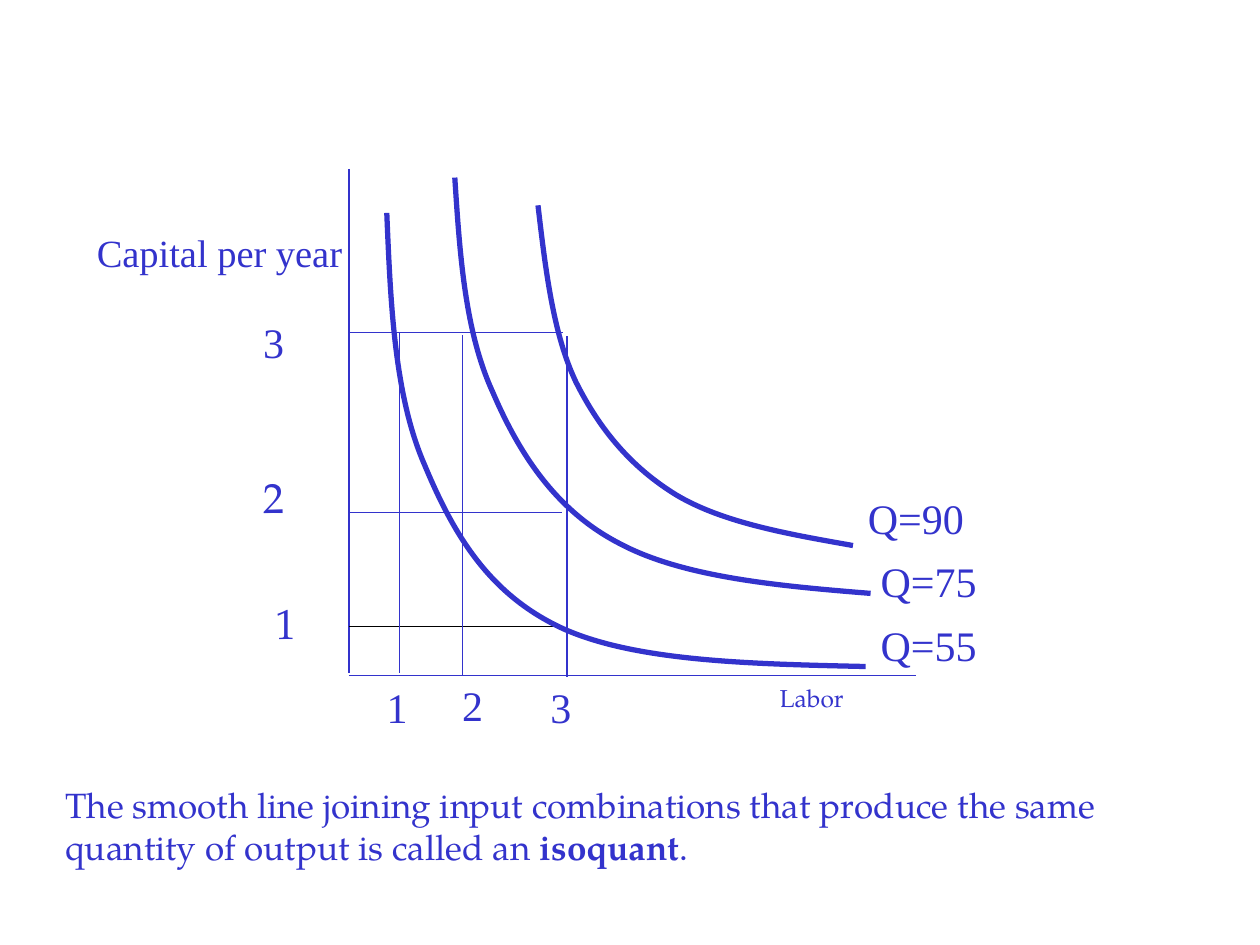
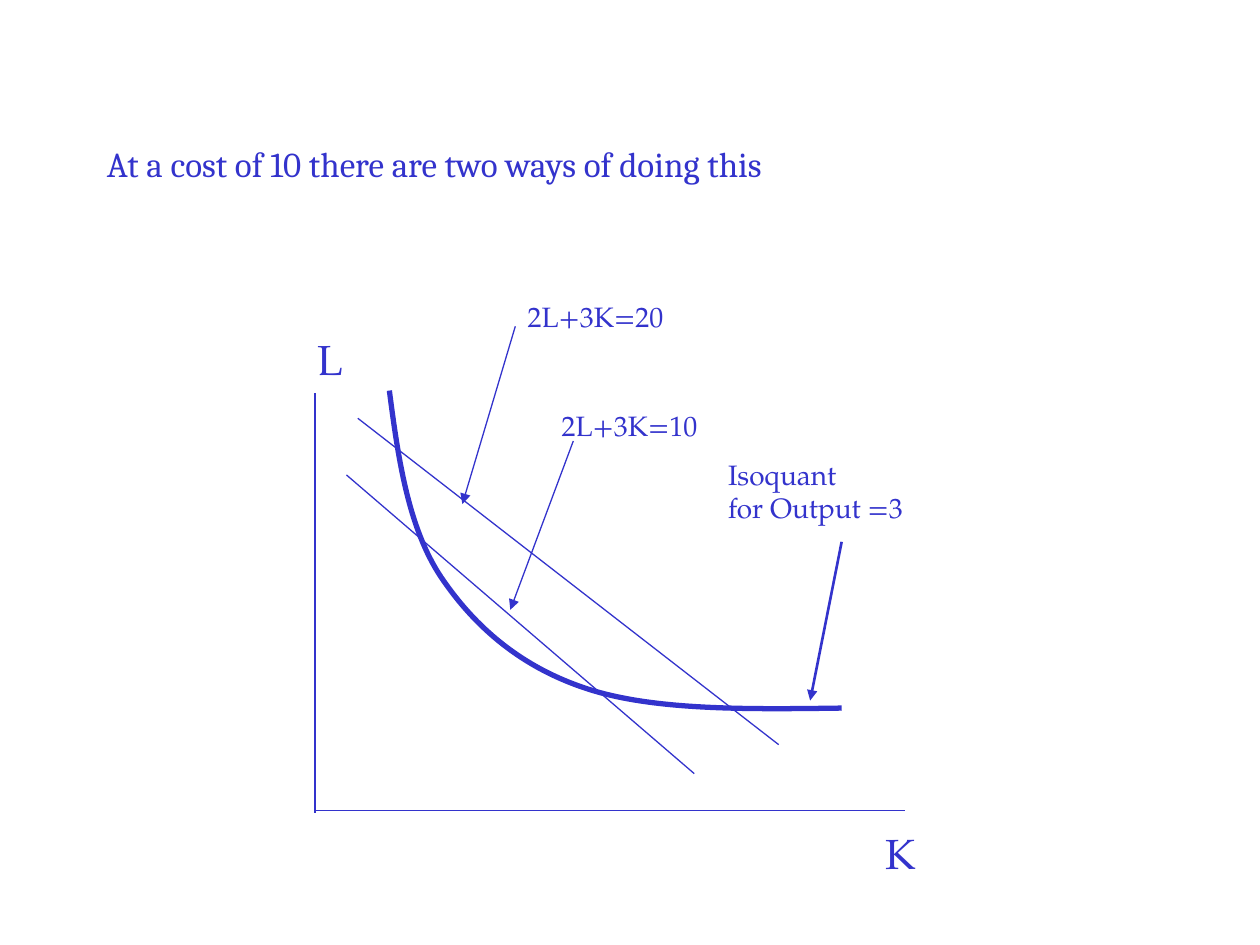
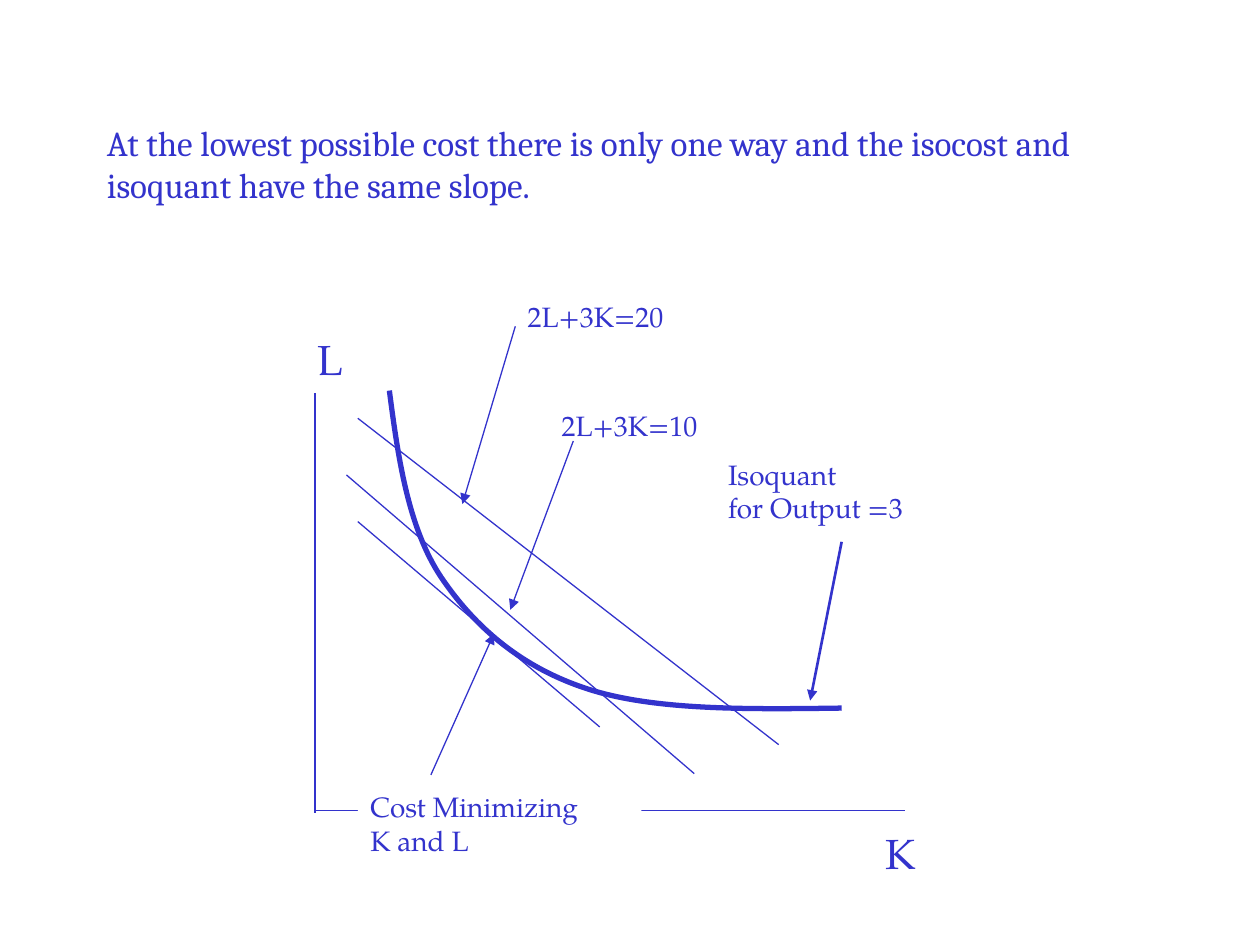
from dataclasses import dataclass

from lxml import etree
from pptx import Presentation
from pptx.dml.color import RGBColor
from pptx.enum.shapes import MSO_CONNECTOR, MSO_SHAPE
from pptx.enum.text import MSO_ANCHOR, PP_ALIGN
from pptx.oxml.ns import qn
from pptx.util import Emu, Pt

STRAIGHT = MSO_CONNECTOR.STRAIGHT
RECT = MSO_SHAPE.RECTANGLE
TOP, MIDDLE = MSO_ANCHOR.TOP, MSO_ANCHOR.MIDDLE
LEFT = PP_ALIGN.LEFT
PX = 9144  # 100 px to the inch


@dataclass(frozen=True)
class Theme:
    ink: RGBColor = RGBColor(0x33, 0x33, 0xCC)
    black: RGBColor = RGBColor(0, 0, 0)
    white: RGBColor = RGBColor(255, 255, 255)
    serif: str = "Times New Roman"
    body: str = "TeX Gyre Pagella"
    title: str = "Cambria"
    tick: int = 24
    axis: int = 22
    text: int = 20
    note: int = 16
    small: int = 14
    thin: float = 0.75
    medium: float = 1.5
    thick: float = 3


THEME = Theme()
TITLE_BOX = (75, 67, 850, 125)
CAPTION_BOX = (42, 617, 942, 128)
MAP_ORIGIN = (277, 134)
COST_ORIGIN = (250, 310)

# Each curve is a start point followed by three points per cubic segment.
ISOQUANT_MAP = [
    [(30, 35), (33, 107), (36, 180), (60, 235), (83, 290), (111, 338),
     (170, 365), (228, 391), (319, 393), (410, 395)],
    [(84, 7), (88, 68), (92, 129), (114, 177), (135, 226), (164, 271),
     (214, 297), (264, 324), (339, 331), (414, 337)],
    [(150, 29), (156, 80), (162, 131), (180, 169), (199, 207), (224, 237),
     (260, 259), (297, 281), (349, 290), (400, 299)],
]
COST_ISOQUANT = [(59, 0), (66, 54), (74, 109), (100, 148), (127, 188), (164, 220),
                 (217, 237), (270, 254), (344, 253), (418, 252)]


def px(value):
    return Emu(round(value * PX))


def smooth_outline(sp):
    """Turn each three line segments of a freeform into one cubic segment."""
    path = next(sp._element.iter(qn("a:path")))
    segments = path.findall(qn("a:lnTo"))
    for i in range(0, len(segments), 3):
        cubic = etree.SubElement(path, qn("a:cubicBezTo"))
        for segment in segments[i:i + 3]:
            cubic.append(segment[0])
            path.remove(segment)


class Region:
    """Draws on a slide in px measured from an origin."""

    def __init__(self, slide, origin=(0, 0)):
        self.shapes = slide.shapes
        self.origin = origin

    def at(self, x, y):
        return px(self.origin[0] + x), px(self.origin[1] + y)

    def line(self, start, end, color=THEME.ink, width=THEME.thin, arrow=False):
        cxn = self.shapes.add_connector(STRAIGHT, *self.at(*start), *self.at(*end))
        cxn.line.color.rgb = color
        cxn.line.width = Pt(width)
        if arrow:
            etree.SubElement(cxn.line._get_or_add_ln(), qn("a:tailEnd"), type="triangle")
        etree.SubElement(cxn._element.spPr, qn("a:effectLst"))

    def curve(self, points):
        corners = [self.at(*p) for p in points]
        builder = self.shapes.build_freeform(*corners[0])
        builder.add_line_segments(corners[1:], close=False)
        sp = builder.convert_to_shape()
        smooth_outline(sp)
        sp.shadow.inherit = False
        sp.fill.background()
        sp.line.color.rgb = THEME.ink
        sp.line.width = Pt(THEME.thick)

    def text(self, text, box, size, font=THEME.body, anchor=TOP, filled=False, bold=""):
        """Write text in a box; the part equal to bold is set in bold."""
        x, y, w, h = box
        frame = (*self.at(x, y), px(w), px(h))
        if filled:
            sp = self.shapes.add_shape(RECT, *frame)
            sp.shadow.inherit = False
            sp.fill.solid()
            sp.fill.fore_color.rgb = THEME.white
            sp.line.fill.background()
        else:
            sp = self.shapes.add_textbox(*frame)
        tf = sp.text_frame
        tf.word_wrap = True
        tf.vertical_anchor = anchor
        for i, content in enumerate(text.split("\n")):
            p = tf.paragraphs[0] if i == 0 else tf.add_paragraph()
            p.alignment = LEFT
            parts = content.partition(bold) if bold else (content,)
            for part in parts:
                r = p.add_run()
                r.text = part
                r.font.size = Pt(size)
                r.font.name = font
                r.font.bold = part == bold
                r.font.color.rgb = THEME.ink


def add_slide(prs):
    return prs.slides.add_slide(prs.slide_layouts[6])


def isoquant_map(slide, origin):
    chart = Region(slide, origin)
    chart.line((0, 0), (0, 400))
    chart.line((0, 402), (450, 402))
    for y, right, color in ((130, 170, THEME.ink), (273, 169, THEME.ink),
                            (363, 169, THEME.black)):
        chart.line((0, y), (right, y), color)
    for x, top in ((40, 130), (90, 132), (173, 133)):
        chart.line((x, top), (x, top + 270))
    for points in ISOQUANT_MAP:
        chart.curve(points)

    chart.text("Capital per year", (-210, 43, 250, 80), THEME.axis, THEME.serif)
    chart.text("Labor", (332, 403, 200, 70), THEME.small)
    for label, box in (("3", (-78, 112, 100, 130)), ("1", (20, 402, 50, 60)),
                       ("2", (80, 400, 70, 70)), ("3", (150, 402, 80, 80)),
                       ("Q=55", (412, 353, 120, 50)), ("Q=75", (412, 302, 120, 50)),
                       ("Q=90", (402, 252, 130, 50))):
        chart.text(label, box, THEME.tick, THEME.serif)
    for label, box in (("2", (-78, 235, 60, 80)), ("1", (-68, 335, 70, 100))):
        chart.text(label, box, THEME.tick)


def cost_chart(slide, origin, show_minimum=False):
    chart = Region(slide, origin)
    isocosts = [((34, 22), (368, 281)), ((25, 67), (301, 304))]
    pointers = [((159, -51), (117, 90), THEME.thin), ((205, 40), (155, 174), THEME.thin),
                ((418, 120), (393, 246), THEME.medium)]
    if show_minimum:
        isocosts.append(((34, 104), (226, 267)))
        pointers.append(((92, 305), (142, 193), THEME.thin))

    chart.line((0, 2), (0, 335))
    chart.line((0, 333), (468, 333))
    chart.curve(COST_ISOQUANT)
    for start, end in isocosts:
        chart.line(start, end)
    for start, end, width in pointers:
        chart.line(start, end, width=width, arrow=True)

    chart.text("L", (-8, -50, 50, 52), THEME.tick)
    chart.text("K", (443, 342, 59, 44), THEME.tick)
    chart.text("2L+3K=20", (159, -77, 136, 77), THEME.note)
    chart.text("2L+3K=10", (186, 9, 217, 74), THEME.note)
    chart.text("Isoquant\nfor Output =3", (318, 48, 209, 104), THEME.note)
    if show_minimum:
        chart.text("Cost Minimizing\nK and L", (34, 312, 225, 67), THEME.note, filled=True)


def isoquant_slide(prs):
    slide = add_slide(prs)
    isoquant_map(slide, MAP_ORIGIN)
    Region(slide).text(
        "The smooth line joining input combinations that produce the same "
        "quantity of output is called an isoquant.",
        CAPTION_BOX, THEME.text, bold="isoquant")


def cost_slide(prs, title, show_minimum=False):
    slide = add_slide(prs)
    cost_chart(slide, COST_ORIGIN, show_minimum)
    Region(slide).text(title, TITLE_BOX, THEME.text, THEME.title, MIDDLE)


def main():
    prs = Presentation()
    prs.slide_width, prs.slide_height = px(1000), px(750)
    isoquant_slide(prs)
    cost_slide(prs, "At a cost of 10 there are two ways of doing this")
    cost_slide(prs, "At the lowest possible cost there is only one way and the "
                    "isocost and isoquant have the same slope.", show_minimum=True)
    prs.save("out.pptx")


if __name__ == "__main__":
    main()
